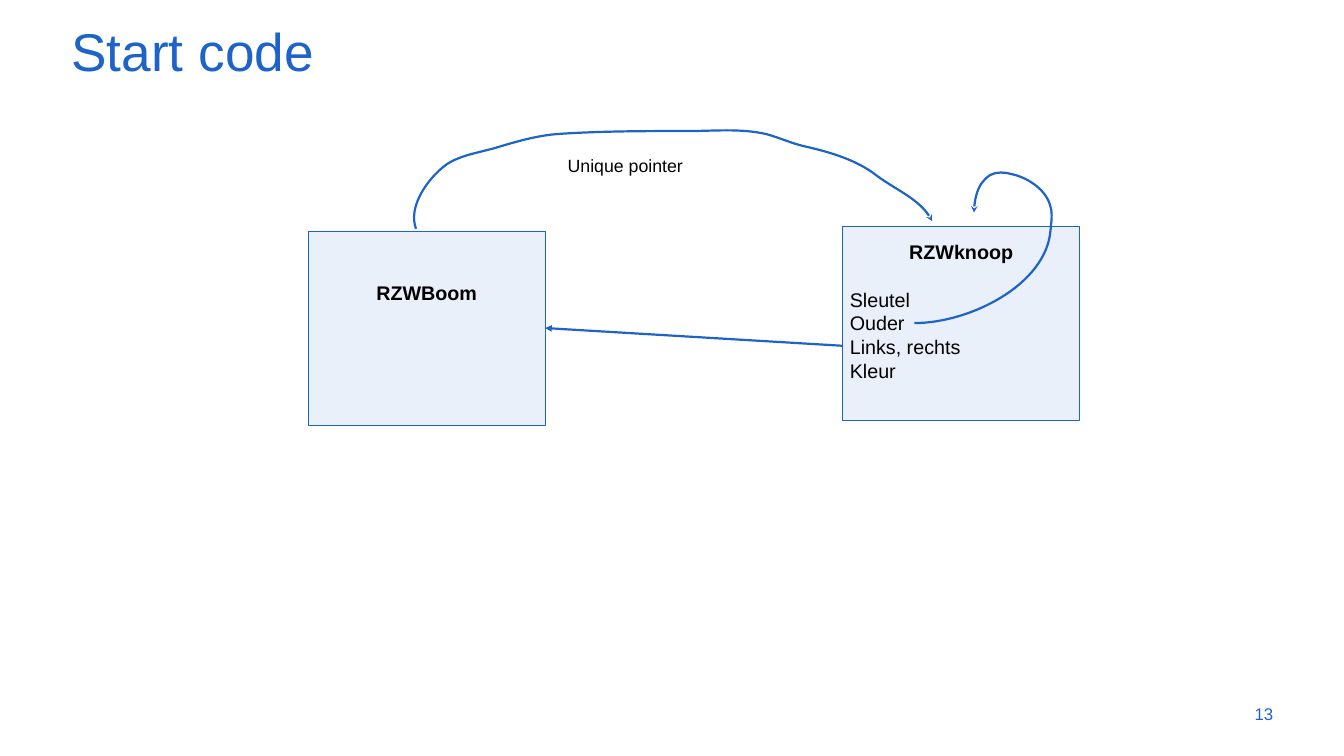
from dataclasses import dataclass

from lxml import etree
from pptx import Presentation
from pptx import util as u
from pptx.dml.color import RGBColor
from pptx.enum import shapes, text
from pptx.oxml import ns

SCALE = 9144  # EMU per px, 100 px to the inch
FONT = "Arial"
BLUE = RGBColor(0x1E, 0x64, 0xC8)
PALE = RGBColor(0xE9, 0xF0, 0xFA)
BLACK = RGBColor(0, 0, 0)
WHITE = RGBColor(0xFF, 0xFF, 0xFF)

Point = tuple[int, int]
Area = tuple[int, int, int, int]


@dataclass
class Node:
    name: str
    area: Area
    top: int
    fields: tuple[str, ...] = ()


@dataclass
class Curve:
    """A start point, then two handles and an end point for each bend."""
    start: Point
    bends: list[Point]


KNOOP = Node("RZWknoop", (1189, 319, 334, 274), 20,
             ("Sleutel", "Ouder", "Links, rechts", "Kleur"))
BOOM = Node("RZWBoom", (435, 326, 334, 274), 70)

LOOP = Curve((1290, 456), [
    (1368, 456), (1476, 402), (1482, 325),
    (1483, 314), (1485, 302), (1482, 292),
    (1477, 269), (1451, 251), (1428, 246),
    (1418, 243), (1406, 242), (1397, 247),
    (1381, 257), (1374, 281), (1374, 300)])
UNIQUE = Curve((587, 323), [
    (575, 292), (603, 252), (630, 232),
    (650, 219), (673, 216), (698, 209),
    (728, 200), (758, 191), (789, 189),
    (849, 185), (910, 185), (970, 185),
    (1007, 185), (1044, 181), (1080, 189),
    (1099, 194), (1118, 203), (1137, 207),
    (1172, 215), (1209, 226), (1237, 248),
    (1264, 268), (1300, 282), (1315, 312)])


def px(*sizes: int) -> list[u.Emu]:
    return [u.Emu(size * SCALE) for size in sizes]


def write(para, words: str, size: float, color: RGBColor, bold: bool = False) -> None:
    run = para.add_run()
    run.text = words
    font = run.font
    font.name, font.size, font.bold = FONT, u.Pt(size), bold
    font.color.rgb = color


def frame(shape, side: int, top: int, anchor):
    """Set the insets and anchor of a shape's text and return its frame."""
    body = shape.text_frame
    body.word_wrap = True
    body.auto_size = text.MSO_AUTO_SIZE.NONE
    body.margin_left = body.margin_right = u.Emu(side * SCALE)
    body.margin_top = body.margin_bottom = u.Emu(top * SCALE)
    body.vertical_anchor = anchor
    return body


def stroke(shape, head: str) -> None:
    """Give a line its colour, width and arrowhead, and no shadow."""
    shape.line.color.rgb = BLUE
    shape.line.width = u.Pt(2.25)
    etree.SubElement(shape.line._get_or_add_ln(), ns.qn("a:tailEnd"), type=head)
    props = shape._element.spPr
    if props.find(ns.qn("a:effectLst")) is None:
        etree.SubElement(props, ns.qn("a:effectLst"))


def add_node(slide, node: Node):
    box = slide.shapes.add_shape(shapes.MSO_SHAPE.RECTANGLE, *px(*node.area))
    box.shadow.inherit = False
    box.fill.solid()
    box.fill.fore_color.rgb = PALE
    box.line.color.rgb = BLUE
    box.line.width = u.Pt(0.75)
    body = frame(box, 10, node.top, text.MSO_ANCHOR.TOP)
    para = body.paragraphs[0]
    para.alignment = text.PP_ALIGN.CENTER
    para.line_spacing = u.Pt(24)
    write(para, node.name, 20, BLACK, bold=True)
    for index, field in enumerate(node.fields):
        para = body.add_paragraph()
        para.alignment = text.PP_ALIGN.LEFT
        para.line_spacing = u.Pt(24)
        if index == 0:
            para.space_before = u.Pt(24)
        write(para, field, 20, BLACK)
    return box


def add_curve(slide, curve: Curve) -> None:
    pen = slide.shapes.build_freeform(*curve.start, scale=SCALE)
    pen.add_line_segments(curve.bends, close=False)
    shape = pen.convert_to_shape()
    steps = list(shape._element.iter(ns.qn("a:lnTo")))
    for first in range(0, len(steps), 3):
        trio = steps[first:first + 3]
        bend = etree.Element(ns.qn("a:cubicBezTo"))
        trio[0].addprevious(bend)
        for step in trio:
            bend.append(step[0])
            step.getparent().remove(step)
    shape.fill.background()
    shape.shadow.inherit = False
    stroke(shape, "stealth")


def add_label(slide, words: str, area: Area, inset: int, size: float,
              color: RGBColor, align, anchor) -> None:
    box = slide.shapes.add_textbox(*px(*area))
    para = frame(box, 10, inset, anchor).paragraphs[0]
    para.alignment = align
    write(para, words, size, color)


def add_title(slide, words: str) -> None:
    title = slide.shapes.title
    title.left, title.top, title.width, title.height = px(91, 28, 1718, 94)
    para = frame(title, 10, 5, text.MSO_ANCHOR.BOTTOM).paragraphs[0]
    para.alignment = text.PP_ALIGN.LEFT
    para.line_spacing = 0.9
    write(para, words, 54, BLUE)


def main() -> None:
    deck = Presentation()
    deck.slide_width, deck.slide_height = px(1896, 1067)
    slide = deck.slides.add_slide(deck.slide_layouts[5])
    slide.background.fill.solid()
    slide.background.fill.fore_color.rgb = WHITE

    add_title(slide, "Start code")
    add_label(slide, "13", (1705, 979, 101, 57), 5, 17.1, BLUE,
              text.PP_ALIGN.RIGHT, text.MSO_ANCHOR.MIDDLE)
    add_node(slide, KNOOP)
    add_curve(slide, LOOP)
    boom = add_node(slide, BOOM)
    arrow = slide.shapes.add_connector(
        shapes.MSO_CONNECTOR.STRAIGHT, *px(1188, 488, 769, 463))
    arrow.end_connect(boom, 3)
    stroke(arrow, "triangle")
    add_curve(slide, UNIQUE)
    add_label(slide, "Unique pointer", (791, 209, 317, 50), 10, 18, BLACK,
              text.PP_ALIGN.LEFT, text.MSO_ANCHOR.TOP)
    deck.save("out.pptx")


if __name__ == "__main__":
    main()
